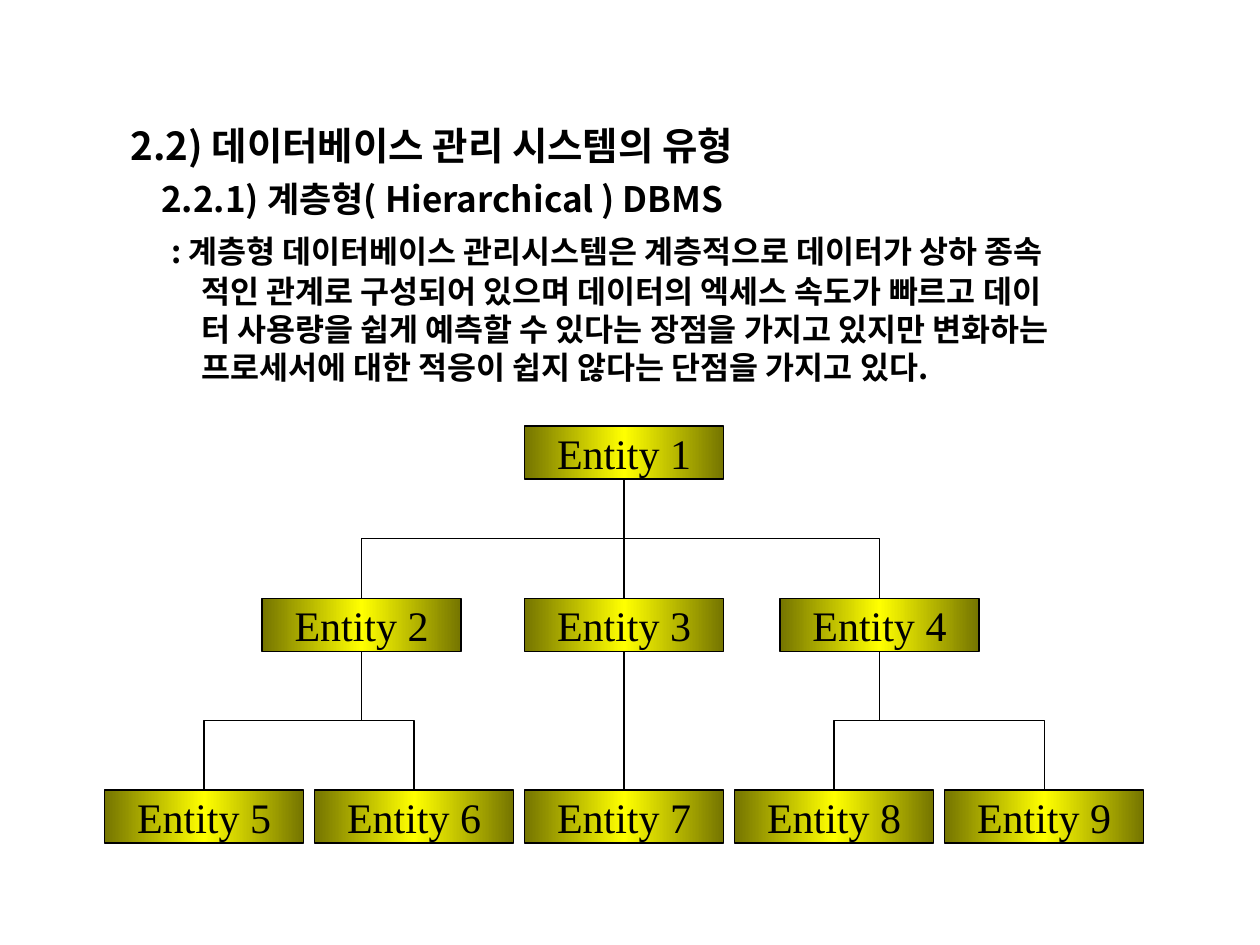
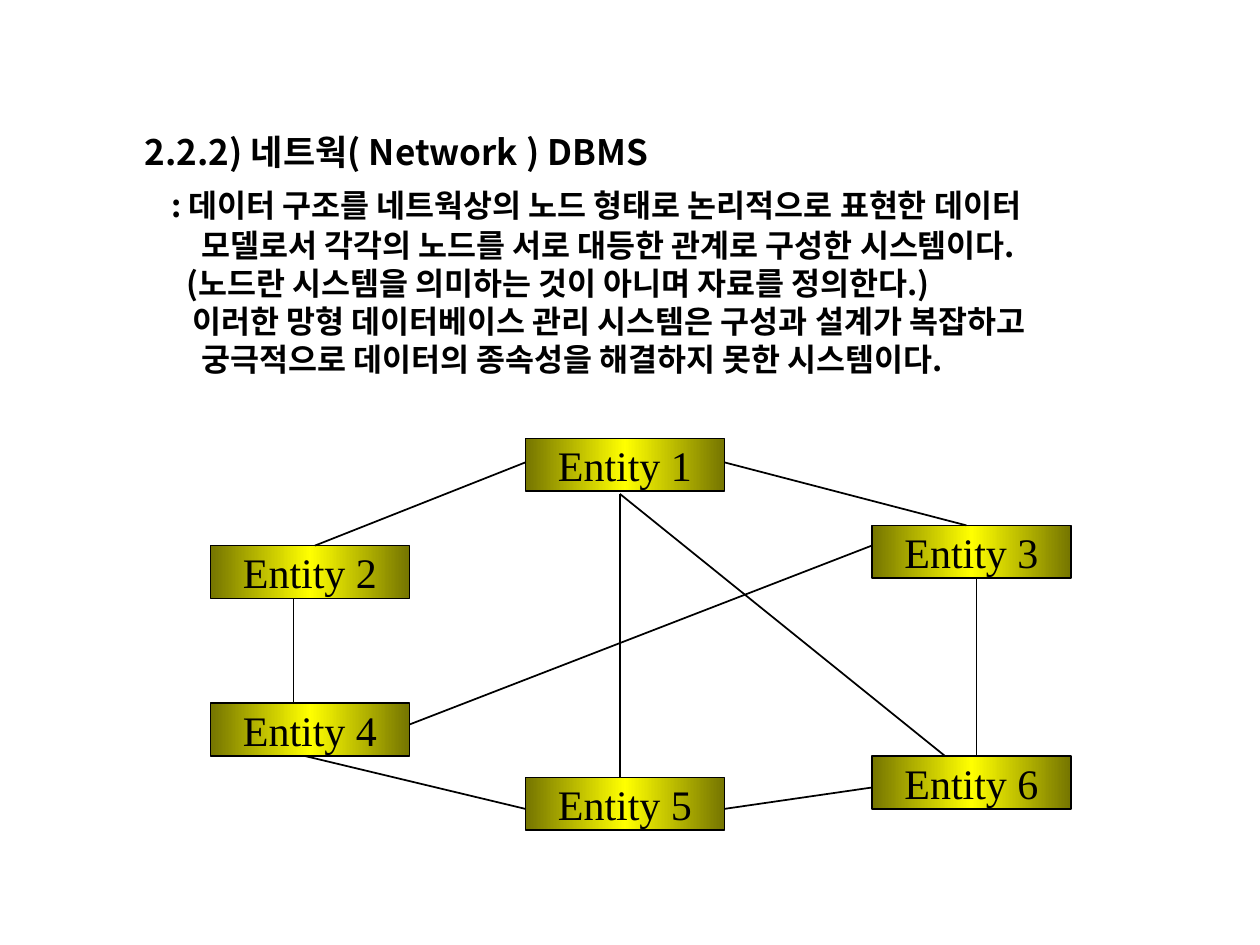
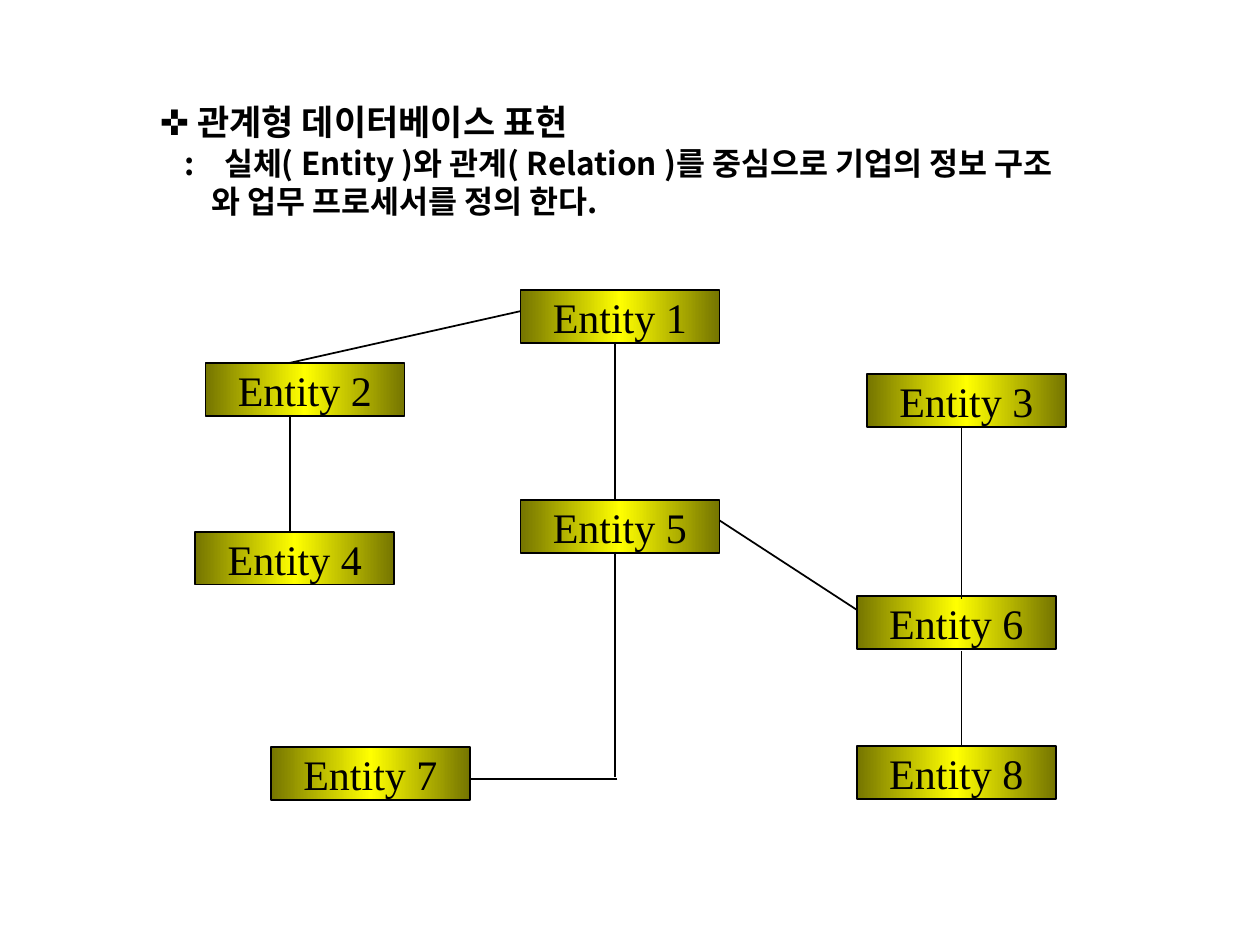
import copy

import pptx
import pptx.dml.color
import pptx.enum.shapes
import pptx.enum.text
import pptx.oxml.ns
import pptx.util

Inches = pptx.util.Inches
Pt = pptx.util.Pt
qn = pptx.oxml.ns.qn

BLACK = "000000"
GRADIENT = [(0, "757500"), (0.5, "FFFF00"), (1, "757500")]
HEADING_FONT = "Noto Sans CJK KR"
SYMBOL_FONT = "Arial"
ENTITY_FONT = "Times New Roman"
ENTITY_W, ENTITY_H = 1.58, 0.42

HIERARCHY_TEXT = [
    ("2.2) 데이터베이스 관리 시스템의 유형", 22, 0.13, 26.6),
    ("2.2.1) 계층형( Hierarchical ) DBMS", 20, 0.37, 29),
    (": 계층형 데이터베이스 관리시스템은 계층적으로 데이터가 상하 종속", 18, 0.45, 29),
    ("적인 관계로 구성되어 있으며 데이터의 엑세스 속도가 빠르고 데이", 18, 0.69, 22.8),
    ("터 사용량을 쉽게 예측할 수 있다는 장점을 가지고 있지만 변화하는", 18, 0.69, 21.7),
    ("프로세서에 대한 적응이 쉽지 않다는 단점을 가지고 있다.", 18, 0.69, 21.7),
]
NETWORK_TEXT = [
    ("2.2.2) 네트웍( Network ) DBMS", 20, 0.24, 29),
    (": 데이터 구조를 네트웍상의 노드 형태로 논리적으로 표현한 데이터", 18, 0.45, 29),
    ("모델로서 각각의 노드를 서로 대등한 관계로 구성한 시스템이다.", 18, 0.69, 22.8),
    ("(노드란 시스템을 의미하는 것이 아니며 자료를 정의한다.)", 18, 0.57, 21.7),
    ("이러한 망형 데이터베이스 관리 시스템은 구성과 설계가 복잡하고", 18, 0.62, 21.7),
    ("궁극적으로 데이터의 종속성을 해결하지 못한 시스템이다.", 18, 0.69, 21.7),
]
RELATION_TEXT = [
    ("✜ 관계형 데이터베이스 표현", 20, 0, 24.1),
    (":\t실체( Entity )와 관계( Relation )를 중심으로 기업의 정보 구조", 18, 0.2, 22),
    ("와 업무 프로세서를 정의 한다.", 18, 0.41, 21.7),
]
COLON_HANG = 0.31

LEAF_PITCH = 5 / 3
TREE_LEVELS = [
    (0, [2 * LEAF_PITCH]),
    (1.37, [1.25, 2 * LEAF_PITCH, 5.36]),
    (2.89, [LEAF_PITCH * leaf for leaf in range(5)]),
]
TREE_LINKS = [(1, 2), (1, 3), (1, 4), (2, 5), (2, 6), (3, 7), (4, 8), (4, 9)]

NETWORK_ENTITIES = [(2.5, 0), (0, 0.85), (5.25, 0.69), (0, 2.1), (2.5, 2.69), (5.25, 2.52)]
NETWORK_LINKS = [
    (2.5, 0.19, 0.83, 0.85), (3.25, 0.44, 3.25, 2.69), (4.08, 0.19, 6, 0.69),
    (6.08, 1.1, 6.08, 2.52), (0.66, 1.27, 0.66, 2.1), (0.75, 2.52, 2.5, 2.94),
    (4.08, 2.94, 5.25, 2.77), (3.25, 0.44, 5.83, 2.52), (5.25, 0.85, 1.58, 2.27),
]
RELATION_ENTITIES = [
    (2.58, 0), (0.08, 0.58), (5.33, 0.67), (0, 1.92),
    (2.58, 1.67), (5.25, 2.43), (0.6, 3.63), (5.25, 3.62),
]
RELATION_LINKS = [
    (0.75, 1.92, 0.75, 1), (0.75, 0.58, 2.58, 0.17), (3.33, 1.67, 3.33, 0.42),
    (3.33, 2.08, 3.33, 3.87), (4.16, 1.83, 5.25, 2.54), (6.08, 1.08, 6.08, 2.45),
    (3.35, 3.88, 2.18, 3.88), (6.08, 2.87, 6.08, 3.62),
]


def rgb(code):
    """Turn a hex string into a colour."""
    return pptx.dml.color.RGBColor.from_string(code)


def apply(target, values):
    """Set each attribute named in values on target."""
    for key, value in values.items():
        setattr(target, key, value)


def write(paragraph, text, font, size, bold):
    """Add a black run in the given font for all scripts."""
    run = paragraph.add_run()
    run.text = text
    apply(run.font, {"name": font, "size": Pt(size), "bold": bold})
    run.font.color.rgb = rgb(BLACK)
    east_asian = run.font._element.makeelement(qn("a:ea"), {"typeface": font})
    run.font._element.append(east_asian)


def add_heading(slide, left, top, width, height, lines):
    """Place the numbered heading and its explanation in a box."""
    frame = slide.shapes.add_textbox(*map(Inches, (left, top, width, height))).text_frame
    frame.word_wrap = True
    for number, (text, size, indent, pitch) in enumerate(lines):
        paragraph = frame.add_paragraph() if number else frame.paragraphs[0]
        paragraph.line_spacing = Pt(pitch)
        hang = COLON_HANG if "\t" in text else 0
        margins = paragraph._p.get_or_add_pPr()
        margins.set("marL", str(Inches(indent + hang)))
        margins.set("indent", str(-Inches(hang)))
        if text.startswith("✜"):
            write(paragraph, text[0], SYMBOL_FONT, size, True)
            text = text[1:]
        write(paragraph, text, HEADING_FONT, size, True)


def add_entity(slide, left, top, number):
    """Draw one gradient entity box with its number."""
    entity = slide.shapes.add_shape(
        pptx.enum.shapes.MSO_SHAPE.RECTANGLE,
        *map(Inches, (left, top, ENTITY_W, ENTITY_H)))
    entity.shadow.inherit = False
    entity.fill.gradient()
    entity.fill.gradient_angle = 0
    stops = entity._element.spPr.find(qn("a:gradFill")).find(qn("a:gsLst"))
    stops.append(copy.deepcopy(stops[-1]))
    for stop, (position, code) in zip(entity.fill.gradient_stops, GRADIENT):
        stop.position = position
        stop.color.rgb = rgb(code)
    entity.line.color.rgb = rgb(BLACK)
    entity.line.width = Pt(1)
    apply(entity.text_frame, {
        "word_wrap": False, "vertical_anchor": pptx.enum.text.MSO_ANCHOR.MIDDLE})
    label = entity.text_frame.paragraphs[0]
    label.alignment = pptx.enum.text.PP_ALIGN.CENTER
    write(label, f"Entity {number}", ENTITY_FONT, 24, False)


def add_link(slide, kind, ends, weight):
    """Draw a black connector between two points."""
    link = slide.shapes.add_connector(kind, *map(Inches, ends))
    link.line.color.rgb = rgb(BLACK)
    link.line.width = Pt(weight)
    properties = link._element.spPr
    properties.append(properties.makeelement(qn("a:effectLst"), {}))
    return link


def add_branch(slide, x1, y1, x2, y2):
    """Join parent and child by a link that leaves downwards."""
    kinds = pptx.enum.shapes.MSO_CONNECTOR
    if abs(x2 - x1) < 0.01:
        add_link(slide, kinds.STRAIGHT, (x1, y1, x2, y2), 0.75)
        return
    drop, spread = y2 - y1, abs(x2 - x1)
    left, top = (x1 + x2 - drop) / 2, (y1 + y2 - spread) / 2
    branch = add_link(slide, kinds.ELBOW, (left, top, left + drop, top + spread), 0.75)
    turn = {"rot": 270, "flipH": True} if x2 > x1 else {"rot": 90}
    apply(branch._element.spPr.xfrm, turn)


def add_tree(slide, left, top):
    """Place the hierarchy of entities and its branches."""
    spots = [(left + x, top + y) for y, row in TREE_LEVELS for x in row]
    for number, (x, y) in enumerate(spots, 1):
        add_entity(slide, x, y, number)
    for parent, child in TREE_LINKS:
        (x1, y1), (x2, y2) = spots[parent - 1], spots[child - 1]
        add_branch(slide, x1 + ENTITY_W / 2, y1 + ENTITY_H, x2 + ENTITY_W / 2, y2)


def add_graph(slide, left, top, entities, links):
    """Place free-standing entities and the straight links between them."""
    for number, (x, y) in enumerate(entities, 1):
        add_entity(slide, left + x, top + y, number)
    for x1, y1, x2, y2 in links:
        ends = (left + x1, top + y1, left + x2, top + y2)
        add_link(slide, pptx.enum.shapes.MSO_CONNECTOR.STRAIGHT, ends, 1)


def main():
    """Build the three slides and save them."""
    deck = pptx.Presentation()
    apply(deck, {"slide_width": Inches(10), "slide_height": Inches(7.5)})
    hierarchy, network, relation = (
        deck.slides.add_slide(deck.slide_layouts[6]) for _ in range(3))
    add_heading(hierarchy, 0.81, 0.92, 8.69, 2.17, HIERARCHY_TEXT)
    add_tree(hierarchy, 0.83, 3.38)
    add_heading(network, 0.81, 0.92, 8.69, 2.1, NETWORK_TEXT)
    add_graph(network, 1.67, 3.48, NETWORK_ENTITIES, NETWORK_LINKS)
    add_graph(relation, 1.55, 2.3, RELATION_ENTITIES, RELATION_LINKS)
    add_heading(relation, 1.17, 0.75, 7.77, 1.04, RELATION_TEXT)
    deck.save("out.pptx")


if __name__ == "__main__":
    main()
